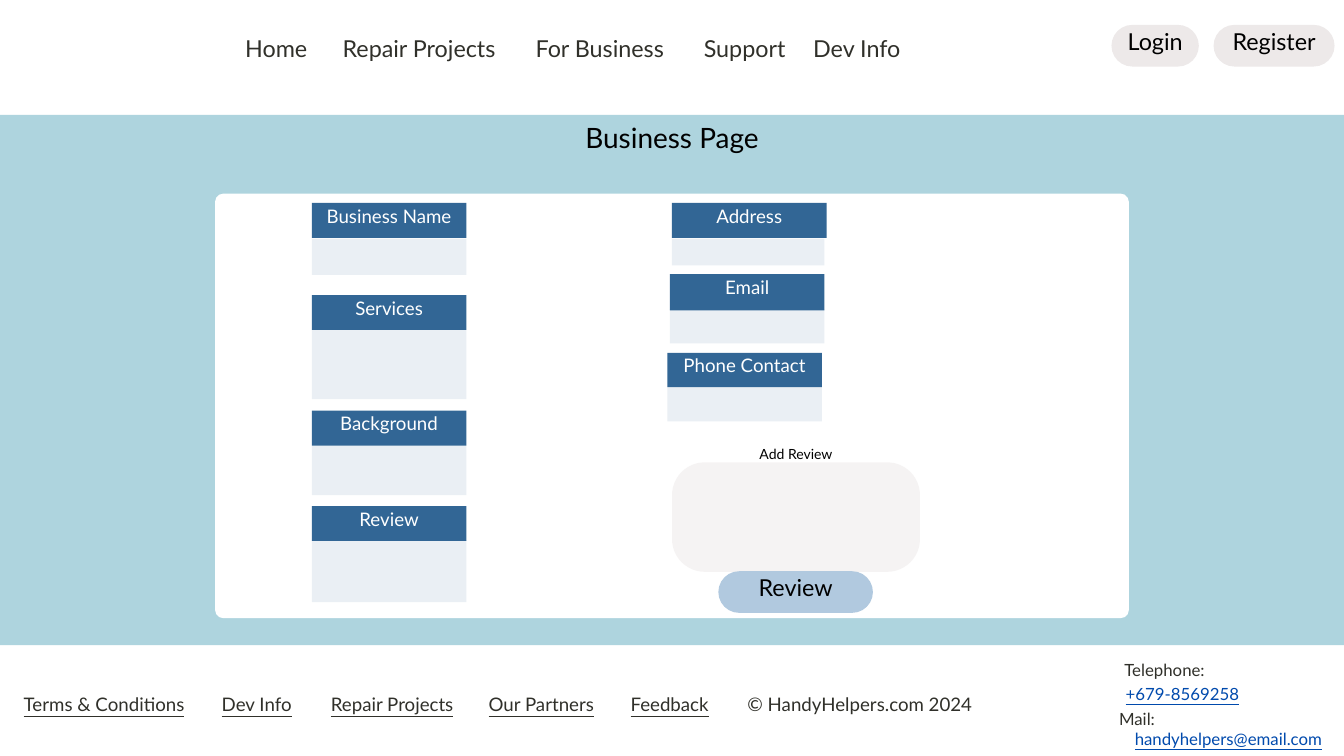
from dataclasses import dataclass

from lxml.etree import SubElement
from pptx import Presentation
from pptx.dml.color import RGBColor
from pptx.enum.shapes import MSO_SHAPE
from pptx.enum.text import MSO_ANCHOR, PP_ALIGN
from pptx.oxml.ns import qn
from pptx.util import Inches, Pt


@dataclass(frozen=True)
class Theme:
    font: str = "Lato"
    ink: str = "30302A"
    black: str = "000000"
    white: str = "FFFFFF"
    link: str = "004AAD"
    band: str = "AED4DE"
    header: str = "326695"
    soft: str = "EDE9E9"
    action: str = "B1C9DF"
    title_size: int = 30
    menu_size: int = 25
    label_size: int = 20
    contact_size: int = 18
    caption_size: int = 15
    leading: float = 1.4
    label_lift: float = 0.2


THEME = Theme()

MENU = [
    ("Home", 3.6, 1.02),
    ("Repair Projects", 4.94, 2.59),
    ("For Business", 7.85, 2.15),
    ("Support", 10.32, 1.52),
    ("Dev Info", 12.03, 1.44),
]
ACCOUNT_BUTTONS = [("Login", 16.54, 1.3), ("Register", 18.06, 1.8)]
FOOTER = [
    ("Terms & Conditions", 0, 3.1, True),
    ("Dev Info", 3.1, 1.44, True),
    ("Repair Projects", 4.54, 2.59, True),
    ("Our Partners", 6.98, 2.15, True),
    ("Feedback", 9.13, 1.67, True),
    ("© HandyHelpers.com 2024", 10.57, 4.45, False),
]
CONTACTS = [
    ("Telephone:", 16.38, 9.77, 1.9, False),
    ("+679-8569258", 16.38, 10.12, 2.43, True),
    ("Mail:", 16.5, 10.49, 0.84, False),
    ("handyhelpers@email.com", 16.56, 10.79, 3.44, True),
]
FIELDS = [
    ("Business Name", 4.64, 3.02, 0.52, 3.55, 2.3, 0.54),
    ("Services", 4.64, 4.39, 0.52, 4.91, 2.3, 1.03),
    ("Background", 4.64, 6.11, 0.52, 6.63, 2.3, 0.74),
    ("Review", 4.64, 7.53, 0.52, 8.04, 2.3, 0.92),
    ("Address", 10, 3.02, 0.52, 3.55, 2.27, 0.4),
    ("Email", 9.97, 4.08, 0.54, 4.6, 2.3, 0.51),
    ("Phone Contact", 9.93, 5.25, 0.51, 5.76, 2.3, 0.51),
]


def write(frame, text, size, color, underline=None, bottom=0.0):
    frame_format = {
        "word_wrap": True,
        "margin_left": 0,
        "margin_right": 0,
        "margin_top": 0,
        "margin_bottom": Inches(bottom),
    }
    for name, value in frame_format.items():
        setattr(frame, name, value)
    line = frame.paragraphs[0]
    line.alignment = PP_ALIGN.CENTER
    line.line_spacing = Pt(size * THEME.leading)
    words = line.add_run()
    words.text = text
    font_format = {"name": THEME.font, "size": Pt(size), "underline": underline}
    for name, value in font_format.items():
        setattr(words.font, name, value)
    words.font.color.rgb = RGBColor.from_string(color)


def add_text(slide, text, box, size, color, underline=None):
    label = slide.shapes.add_textbox(*map(Inches, box))
    write(label.text_frame, text, size, color, underline)


def add_block(slide, box, color, radius=None, opacity=100):
    outline = MSO_SHAPE.RECTANGLE if radius is None else MSO_SHAPE.ROUNDED_RECTANGLE
    block = slide.shapes.add_shape(outline, *map(Inches, box))
    if radius is not None:
        block.adjustments[0] = radius
    block.shadow.inherit = False
    block.line.fill.background()
    block.fill.solid()
    block.fill.fore_color.rgb = RGBColor.from_string(color)
    if opacity < 100:
        tint = block.element.find(".//" + qn("a:srgbClr"))
        SubElement(tint, qn("a:alpha"), val=str(opacity * 1000))
    return block


def add_labelled_block(slide, text, box, fill, size, color, radius=None):
    block = add_block(slide, box, fill, radius)
    block.text_frame.vertical_anchor = MSO_ANCHOR.MIDDLE
    write(block.text_frame, text, size, color, bottom=THEME.label_lift)


def add_pill(slide, text, box, fill):
    add_labelled_block(slide, text, box, fill, THEME.menu_size, THEME.black, 0.5)


def add_field(slide, label, left, top, header_height, entry_top, width, height):
    header_box = (left, top, 2.3, header_height)
    add_labelled_block(
        slide, label, header_box, THEME.header, THEME.label_size, THEME.white
    )
    add_block(slide, (left, entry_top, width, height), THEME.header, opacity=10)


def add_navigation(slide):
    for text, left, width in ACCOUNT_BUTTONS:
        add_pill(slide, text, (left, 0.37, width, 0.62), THEME.soft)
    for text, left, width in MENU:
        add_text(slide, text, (left, 0.44, width, 0.45), THEME.menu_size, THEME.ink)


def add_footer(slide):
    for text, left, top, width, linked in CONTACTS:
        color = THEME.link if linked else THEME.ink
        box = (left, top, width, 0.32)
        add_text(slide, text, box, THEME.contact_size, color, linked)
    for text, left, width, linked in FOOTER:
        box = (left, 10.25, width, 0.37)
        add_text(slide, text, box, THEME.label_size, THEME.ink, linked)


def add_business_form(slide):
    add_block(slide, (3.2, 2.88, 13.6, 6.32), THEME.white, radius=0.02)
    for field in FIELDS:
        add_field(slide, *field)
    add_block(slide, (10, 6.88, 3.69, 1.63), THEME.soft, radius=0.3, opacity=50)
    add_pill(slide, "Review", (10.69, 8.5, 2.3, 0.62), THEME.action)
    caption_box = (10, 6.59, 3.69, 0.28)
    add_text(slide, "Add Review", caption_box, THEME.caption_size, THEME.black)


def main():
    deck = Presentation()
    deck.slide_width = Inches(20)
    deck.slide_height = Inches(11.25)
    slide = deck.slides.add_slide(deck.slide_layouts[6])
    add_navigation(slide)
    add_block(slide, (0, 1.71, 20, 7.89), THEME.band)
    title_box = (6.69, 1.71, 6.62, 0.56)
    add_text(slide, "Business Page", title_box, THEME.title_size, THEME.black)
    add_footer(slide)
    add_business_form(slide)
    deck.save("out.pptx")


if __name__ == "__main__":
    main()
